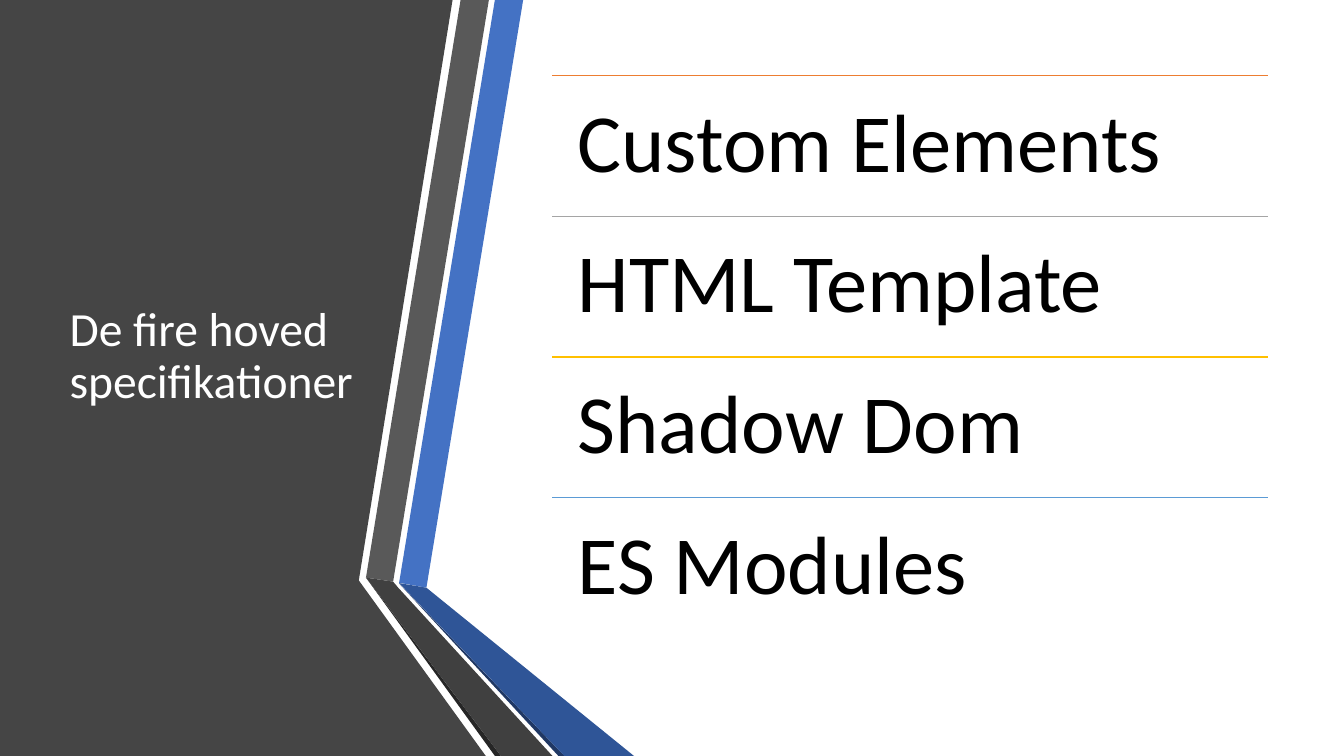
import pptx
import pptx.dml.color
import pptx.enum.shapes
import pptx.enum.text
import pptx.oxml
import pptx.util

Pt = pptx.util.Pt

# Facets of the folded ribbon, back to front: colour and corners in points
RIBBON_FACETS = [
    ("454545", [(0, 0), (323.3, 0), (256.3, 414.6), (347, 540), (0, 540)]),
    ("4472C4", [(285.1, 416.3), (304.6, 419.8), (373.7, 0), (353.5, 0)]),
    ("595959", [(349.2, 0), (329, 0), (261.4, 412.6), (280.8, 415.5)]),
    ("262626", [(261.4, 412.6), (353.5, 540), (357.8, 540)]),
    ("203864", [(285.1, 416.8), (398.9, 540), (403.2, 540)]),
    ("2F5597", [(285.1, 416.5), (403.2, 540), (452.9, 540), (304.6, 419.8)]),
    ("404040", [(394.6, 540), (284.4, 419.8), (280.8, 415.5),
                (261.4, 412.6), (357.8, 540)]),
]
SPECIFICATIONS = [
    ("Custom Elements", "ED7D31"),
    ("HTML Template", "A5A5A5"),
    ("Shadow Dom", "FFC000"),
    ("ES Modules", "5B9BD5"),
]


def colour(hex_string):
    return pptx.dml.color.RGBColor.from_string(hex_string)


def format_paragraph(paragraph, size, hex_string):
    paragraph.alignment = pptx.enum.text.PP_ALIGN.LEFT
    paragraph.line_spacing = 0.9
    paragraph.font.name = "Calibri"
    paragraph.font.size = Pt(size)
    paragraph.font.color.rgb = colour(hex_string)


def add_ribbon(slide, left, top):
    for fill, corners in RIBBON_FACETS:
        points = [(Pt(x), Pt(y)) for x, y in corners]
        outline = slide.shapes.build_freeform(*points[0])
        outline.add_line_segments(points[1:], close=True)
        facet = outline.convert_to_shape(Pt(left), Pt(top))
        facet.shadow.inherit = False
        facet.fill.solid()
        facet.fill.fore_color.rgb = colour(fill)
        facet.line.fill.background()


def place_title(slide, left, top, width, height):
    """Fill the title placeholder and bring it in front of the ribbon."""
    title = slide.shapes.title
    title.left, title.top = Pt(left), Pt(top)
    title.width, title.height = Pt(width), Pt(height)
    frame = title.text_frame
    frame.text = "De fire hoved specifikationer"
    frame.word_wrap = True
    frame.auto_size = pptx.enum.text.MSO_AUTO_SIZE.NONE
    frame.vertical_anchor = pptx.enum.text.MSO_ANCHOR.MIDDLE
    format_paragraph(frame.paragraphs[0], 34, "FFFFFF")
    title.element.getparent().append(title.element)


def add_rule(slide, left, top, width, hex_string):
    rule = slide.shapes.add_connector(
        pptx.enum.shapes.MSO_CONNECTOR.STRAIGHT,
        Pt(left), Pt(top), Pt(left + width), Pt(top))
    rule.line.color.rgb = colour(hex_string)
    rule.line.width = Pt(1)
    rule.element.spPr.append(pptx.oxml.parse_xml(
        '<a:effectLst xmlns:a="http://schemas.openxmlformats.org/drawingml/2006/main"/>'))


def add_specifications(slide, left, top, width, height):
    row_height = height / len(SPECIFICATIONS)
    for row, (specification, accent) in enumerate(SPECIFICATIONS):
        row_top = top + row * row_height
        add_rule(slide, left, row_top, width, accent)
        label = slide.shapes.add_textbox(
            Pt(left), Pt(row_top), Pt(width), Pt(row_height))
        frame = label.text_frame
        frame.text = specification
        frame.word_wrap = True
        frame.margin_left = frame.margin_right = Pt(18)
        frame.margin_top = frame.margin_bottom = Pt(18)
        format_paragraph(frame.paragraphs[0], 59, "000000")


def main():
    presentation = pptx.Presentation()
    presentation.slide_width, presentation.slide_height = Pt(960), Pt(540)
    title_only = presentation.slide_layouts.get_by_name("Title Only")
    slide = presentation.slides.add_slide(title_only)
    add_ribbon(slide, 0, 0)
    place_title(slide, 42.5, 54, 219, 402)
    add_specifications(slide, 394.6, 54, 511.2, 402)
    presentation.save("out.pptx")


if __name__ == "__main__":
    main()
